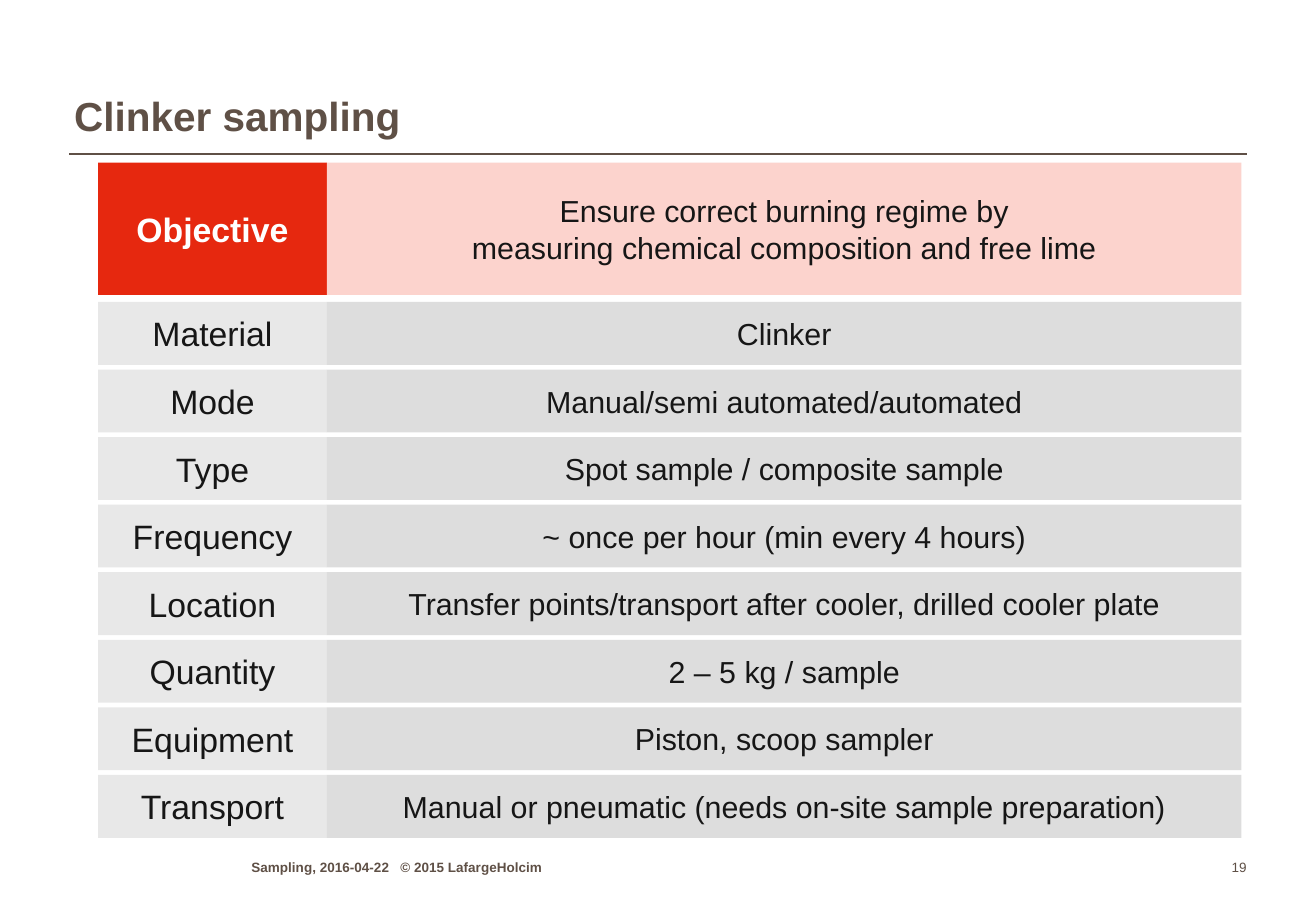
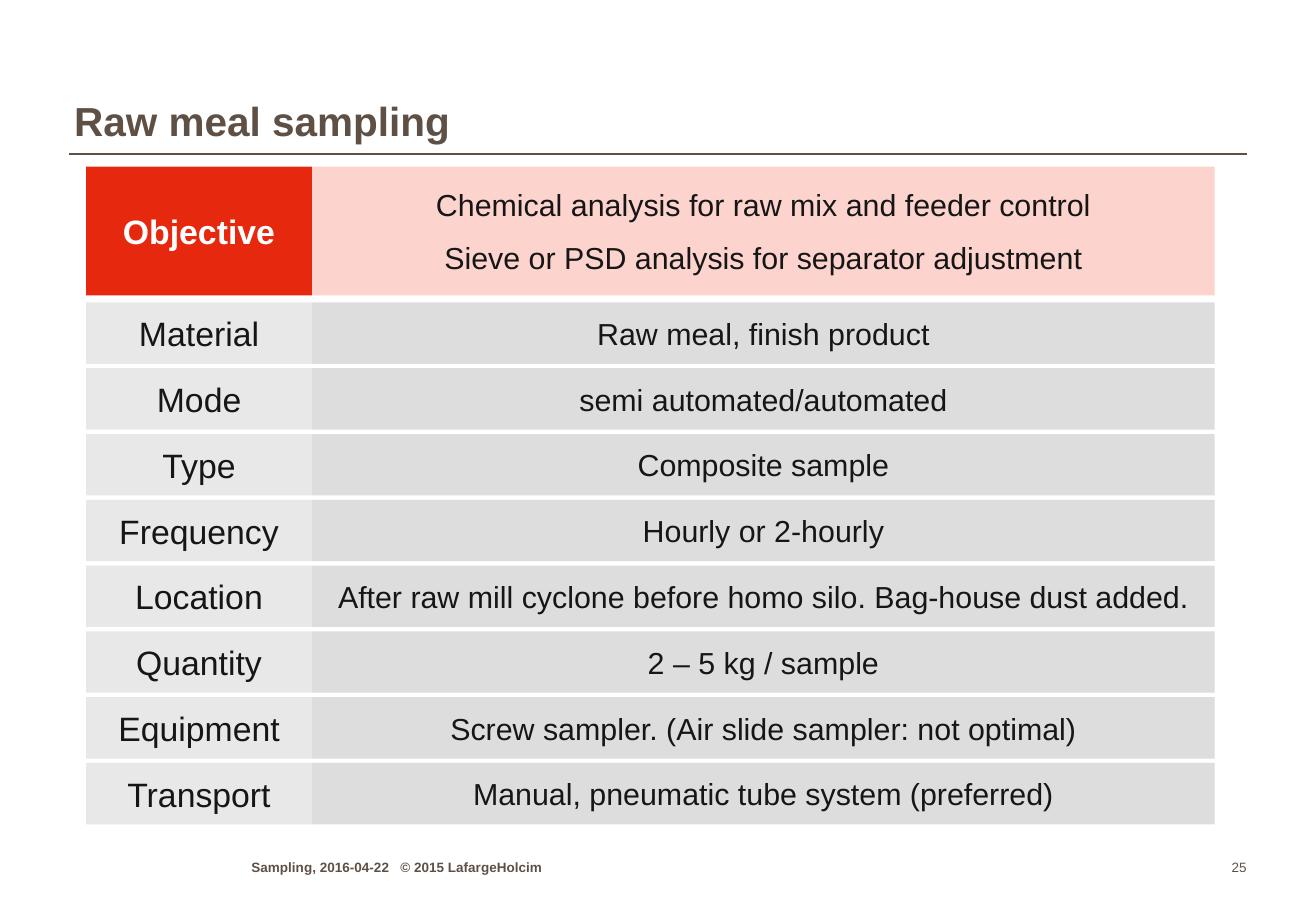
from lxml import etree
from pptx import Presentation
from pptx.dml.color import RGBColor
from pptx.enum.shapes import MSO_CONNECTOR, MSO_SHAPE
from pptx.enum.text import MSO_ANCHOR, MSO_AUTO_SIZE, PP_ALIGN
from pptx.oxml.ns import qn
from pptx.util import Pt

RECTANGLE = MSO_SHAPE.RECTANGLE
STRAIGHT = MSO_CONNECTOR.STRAIGHT
MIDDLE, BOTTOM = MSO_ANCHOR.MIDDLE, MSO_ANCHOR.BOTTOM
LEFT, CENTER, RIGHT = PP_ALIGN.LEFT, PP_ALIGN.CENTER, PP_ALIGN.RIGHT

FONT = "Arial"
COLORS = {
    "brown": "5F5046",
    "red": "E6280F",
    "pink": "FCD3CD",
    "label": "E8E8E8",
    "value": "DDDDDD",
    "text": "161616",
    "white": "FFFFFF",
}
FOOTER = "Sampling, 2016-04-22\t© 2015 LafargeHolcim"
LABELS = ["Material", "Mode", "Type", "Frequency", "Location", "Quantity",
          "Equipment", "Transport"]
SLIDES = [
    {
        "title": "Clinker sampling",
        "title_top": 21,
        "number": "19",
        "grid": {"left": 58.2, "label_width": 135.6, "value_width": 542,
                 "top": 96.5, "objective_height": 78.4,
                 "rows_top": 179, "row_height": 37.3, "pitch": 40.05},
        "objective": ["Ensure correct burning regime by\n"
                      "measuring chemical composition and free lime"],
        "values": [
            "Clinker",
            "Manual/semi automated/automated",
            "Spot sample / composite sample",
            "~ once per hour (min every 4 hours)",
            "Transfer points/transport after cooler, drilled cooler plate",
            "2 – 5 kg / sample",
            "Piston, scoop sampler",
            "Manual or pneumatic (needs on-site sample preparation)",
        ],
    },
    {
        "title": "Raw meal sampling",
        "title_top": 24,
        "number": "25",
        "grid": {"left": 51, "label_width": 134, "value_width": 535,
                 "top": 98.8, "objective_height": 76.3,
                 "rows_top": 179.3, "row_height": 36.4, "pitch": 39},
        "objective": ["Chemical analysis for raw mix and feeder control",
                      "Sieve or PSD analysis for separator adjustment"],
        "values": [
            "Raw meal, finish product",
            "semi automated/automated",
            "Composite sample",
            "Hourly or 2-hourly",
            "After raw mill cyclone before homo silo. Bag-house dust added.",
            "2 – 5 kg / sample",
            "Screw sampler. (Air slide sampler: not optimal)",
            "Manual, pneumatic tube system (preferred)",
        ],
    },
]


def color(name):
    return RGBColor.from_string(COLORS[name])


def write(shape, paragraphs, size, ink, bold=False, align=CENTER, anchor=MIDDLE):
    frame = shape.text_frame
    frame.word_wrap = True
    frame.auto_size = MSO_AUTO_SIZE.NONE
    frame.vertical_anchor = anchor
    frame.margin_left = frame.margin_right = 0
    frame.margin_top = frame.margin_bottom = 0
    for index, text in enumerate(paragraphs):
        paragraph = frame.add_paragraph() if index else frame.paragraphs[0]
        paragraph.alignment = align
        paragraph.space_before = Pt(10 if index else 0)
        for line_index, line in enumerate(text.split("\n")):
            if line_index:
                paragraph.add_line_break()
            run = paragraph.add_run()
            run.text = line
            run.font.name = FONT
            run.font.size = Pt(size)
            run.font.bold = bold
            run.font.color.rgb = color(ink)
    return frame.paragraphs[0]


def add_cell(slide, box, fill, paragraphs, size, ink="text", bold=False):
    shape = slide.shapes.add_shape(RECTANGLE, *map(Pt, box))
    shape.shadow.inherit = False
    shape.fill.solid()
    shape.fill.fore_color.rgb = color(fill)
    shape.line.fill.background()
    write(shape, paragraphs, size, ink, bold)


def add_frame(slide, content):
    rule = slide.shapes.add_connector(STRAIGHT, Pt(41), Pt(91.5), Pt(739), Pt(91.5))
    rule.line.color.rgb = color("brown")
    rule.line.width = Pt(1)
    etree.SubElement(rule._element.spPr, qn("a:effectLst"))

    title = slide.shapes.title
    title.left, title.top = Pt(44), Pt(content["title_top"])
    title.width, title.height = Pt(691), Pt(62.6)
    heading = write(title, [content["title"]], 24, "brown", True, LEFT, BOTTOM)
    heading.line_spacing = 0.95

    footer = slide.shapes.add_textbox(Pt(149), Pt(505.5), Pt(250), Pt(13))
    line = write(footer, [FOOTER], 8, "brown", True, LEFT, BOTTOM)
    tabs = etree.SubElement(line._p.get_or_add_pPr(), qn("a:tabLst"))
    etree.SubElement(tabs, qn("a:tab"), pos=str(Pt(88.3)), algn="l")

    number = slide.shapes.add_textbox(Pt(705), Pt(505.5), Pt(34), Pt(13))
    write(number, [content["number"]], 8, "brown", False, RIGHT, BOTTOM)


def add_grid(slide, content):
    grid = content["grid"]
    label_left, label_width = grid["left"], grid["label_width"]
    value_left, value_width = label_left + label_width, grid["value_width"]
    top, height = grid["top"], grid["objective_height"]
    add_cell(slide, (label_left, top, label_width, height), "red",
             ["Objective"], 20, "white", True)
    add_cell(slide, (value_left, top, value_width, height), "pink",
             content["objective"], 18)
    height = grid["row_height"]
    for index, (label, value) in enumerate(zip(LABELS, content["values"])):
        top = grid["rows_top"] + index * grid["pitch"]
        add_cell(slide, (label_left, top, label_width, height), "label", [label], 20)
        add_cell(slide, (value_left, top, value_width, height), "value", [value], 18)


def main():
    presentation = Presentation()
    presentation.slide_width, presentation.slide_height = Pt(780), Pt(540)
    for content in SLIDES:
        slide = presentation.slides.add_slide(presentation.slide_layouts[5])
        add_frame(slide, content)
        add_grid(slide, content)
    presentation.save("out.pptx")


if __name__ == "__main__":
    main()
